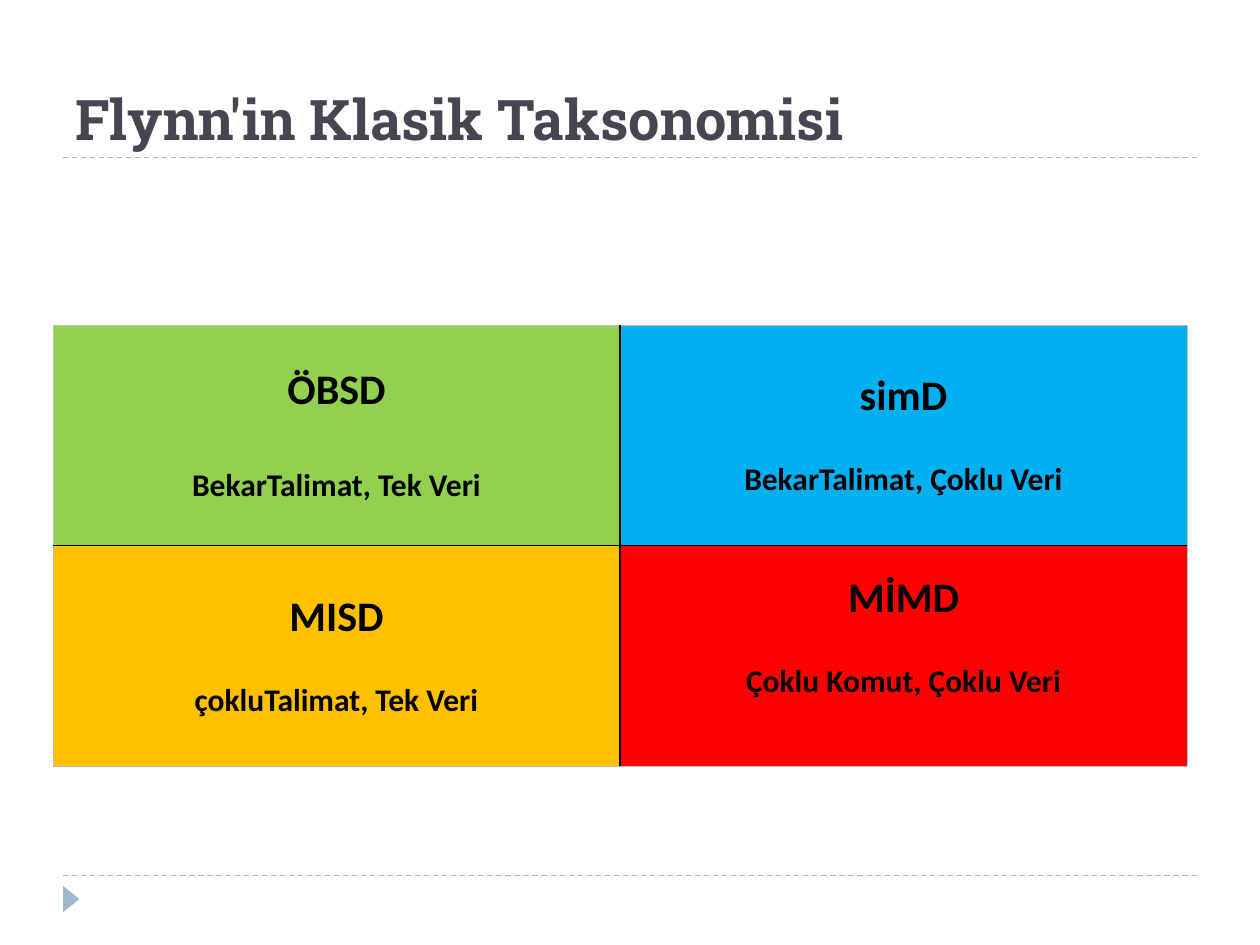
from lxml import etree
from pptx import Presentation, util as u
from pptx.dml.color import RGBColor
from pptx.enum import dml, shapes, text
from pptx.oxml.ns import qn


def color(value):
    return RGBColor.from_string(value)


def add_border(cell, side, value, width):
    line = etree.SubElement(cell._tc.get_or_add_tcPr(), qn(f"a:ln{side}"), w=str(u.Pt(width)))
    fill = etree.SubElement(line, qn("a:solidFill"))
    etree.SubElement(fill, qn("a:srgbClr"), val=value)


deck = Presentation()
deck.slide_width, deck.slide_height = u.Cm(25.4), u.Cm(19.05)
page = deck.slides.add_slide(deck.slide_layouts[6])

for y in (17.65, 3.18):
    rule = page.shapes.add_connector(
        shapes.MSO_CONNECTOR.STRAIGHT, u.Cm(1.27), u.Cm(y), u.Cm(24.13), u.Cm(y))
    rule.line.color.rgb = color("9FB8CD")
    rule.line.width = u.Pt(0.75)
    rule.line.dash_style = dml.MSO_LINE.DASH
    etree.SubElement(rule._element.spPr, qn("a:effectLst"))

marker = page.shapes.add_shape(
    shapes.MSO_SHAPE.ISOSCELES_TRIANGLE, u.Cm(1.17), u.Cm(17.96), u.Cm(0.53), u.Cm(0.33))
marker.rotation = 90
marker.shadow.inherit = False
marker.fill.solid()
marker.fill.fore_color.rgb = color("9FB8CD")
marker.line.fill.background()

title = page.shapes.add_textbox(u.Cm(1.27), u.Cm(0.43), u.Cm(22.86), u.Cm(2.75))
title.text_frame.word_wrap = True
title.text_frame.vertical_anchor = text.MSO_ANCHOR.BOTTOM
title.text_frame.text = "Flynn'in Klasik Taksonomisi"
font = title.text_frame.paragraphs[0].runs[0].font
font.name, font.size, font.bold = "Roboto Slab", u.Pt(32), True
font.color.rgb = color("464653")

taxonomy = [
    [("ÖBSD", "BekarTalimat, Tek Veri", "92D050", 29, 0.13),
     ("simD", "BekarTalimat, Çoklu Veri", "00B0F0", 22, 0.13)],
    [("MISD", "çokluTalimat, Tek Veri", "FFC000", 22, 0.13),
     ("MİMD", "Çoklu Komut, Çoklu Veri", "FF0000", 22, 0.9)],
]
table = page.shapes.add_table(2, 2, u.Cm(1.07), u.Cm(6.55), u.Cm(22.86), u.Cm(8.89)).table
table.first_row = table.horz_banding = False

for row, entries in enumerate(taxonomy):
    for column, (name, meaning, fill, gap, bottom) in enumerate(entries):
        cell = table.cell(row, column)
        inner_sides = ("R" if column == 0 else "L", "B" if row == 0 else "T")
        for side in "LRTB":
            if side in inner_sides:
                add_border(cell, side, "000000", 1)
            else:
                add_border(cell, side, "BFBFBF", 0.5)
        cell.fill.solid()
        cell.fill.fore_color.rgb = color(fill)
        cell.vertical_anchor = text.MSO_ANCHOR.MIDDLE
        cell.margin_left = cell.margin_right = cell.margin_top = u.Cm(0.13)
        cell.margin_bottom = u.Cm(bottom)
        cell.text_frame.text = f"{name}\n{meaning}"
        for para, size in zip(cell.text_frame.paragraphs, (24, 18)):
            para.alignment = text.PP_ALIGN.CENTER
            font = para.runs[0].font
            font.name, font.size, font.bold = "Calibri", u.Pt(size), True
            font.color.rgb = color("000000")
        para.space_before = u.Pt(gap)

deck.save("out.pptx")
